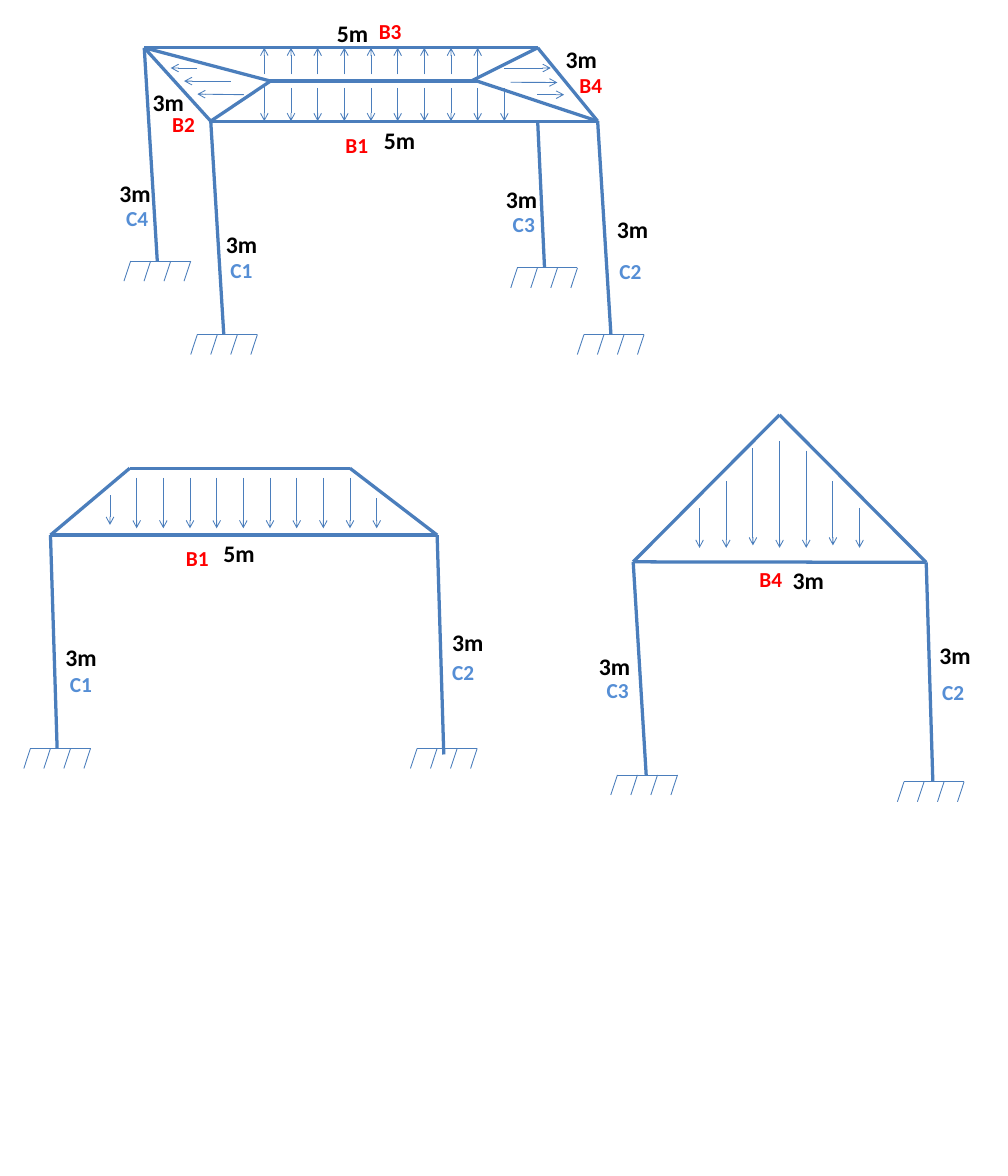
from dataclasses import dataclass

import pptx
import pptx.dml.color
import pptx.enum.shapes
import pptx.oxml
import pptx.oxml.ns
import pptx.presentation
import pptx.shapes.shapetree
import pptx.slide
import pptx.util

Pt = pptx.util.Pt
RGB = pptx.dml.color.RGBColor
Shapes = pptx.shapes.shapetree.SlideShapes
Point = tuple[float, float]

STEEL = RGB(0x4B, 0x7E, 0xBC)
BLACK = RGB(0x00, 0x00, 0x00)
RED = RGB(0xFF, 0x00, 0x00)
BLUE = RGB(0x55, 0x8E, 0xD5)

FONT = "Calibri"
THICK, THIN = 2.75, 0.75
GAP = 22.5  # between load arrows
TEETH, PITCH, LEAN, DROP = 4, 16.9, 5.6, 16.9  # support hatching


@dataclass
class Kind:
    """Look of one kind of label."""
    size: float
    color: RGB
    width: float
    height: float


SPAN = Kind(20, BLACK, 41, 31.5)
BEAM = Kind(18, RED, 33.8, 29)
POST = Kind(18, BLUE, 33.1, 29)


@dataclass
class Label:
    text: str
    kind: Kind
    left: float
    top: float


@dataclass
class Load:
    """Row of upright arrows at equal gaps."""
    left: float
    tails: list[float]
    tips: list[float]


@dataclass
class Frame:
    bars: list[tuple[Point, Point]]
    feet: list[Point]
    loads: list[Load]
    side: list[tuple[Point, Point]]
    labels: list[Label]


def draw_line(shapes: Shapes, start: Point, end: Point, width: float, head: bool = False) -> None:
    line = shapes.add_connector(pptx.enum.shapes.MSO_CONNECTOR.STRAIGHT,
                                *(Pt(n) for n in start + end))
    line.line.color.rgb = STEEL
    line.line.width = Pt(width)
    props = line._element.spPr
    if head:
        tail = pptx.oxml.ns.qn("a:tailEnd")
        props.find(pptx.oxml.ns.qn("a:ln")).append(props.makeelement(tail, {"type": "arrow"}))
    props.append(props.makeelement(pptx.oxml.ns.qn("a:effectLst"), {}))


def draw_foot(shapes: Shapes, left: float, top: float) -> None:
    draw_line(shapes, (left, top), (left + (TEETH - 1) * PITCH, top), THIN)
    for i in range(TEETH):
        x = left + i * PITCH
        draw_line(shapes, (x, top), (x - LEAN, top + DROP), THIN)


def draw_load(shapes: Shapes, load: Load) -> None:
    for i, (tail, tip) in enumerate(zip(load.tails, load.tips)):
        x = load.left + i * GAP
        draw_line(shapes, (x, tail), (x, tip), THIN, True)


def draw_label(shapes: Shapes, label: Label) -> None:
    kind = label.kind
    box = shapes.add_textbox(Pt(label.left), Pt(label.top), Pt(kind.width), Pt(kind.height))
    box.text_frame.word_wrap = False
    run = box.text_frame.paragraphs[0].add_run()
    run.text = label.text
    run.font.name = FONT
    run.font.size = Pt(kind.size)
    run.font.bold = True
    run.font.color.rgb = kind.color


def draw_frame(shapes: Shapes, frame: Frame) -> None:
    for start, end in frame.bars:
        draw_line(shapes, start, end, THICK)
    for left, top in frame.feet:
        draw_foot(shapes, left, top)
    for load in frame.loads:
        draw_load(shapes, load)
    for start, end in frame.side:
        draw_line(shapes, start, end, THIN, True)
    for label in frame.labels:
        draw_label(shapes, label)


# Whole frame: corners of the slab and ends of its ridge
BACK_L, BACK_R = (121.7, 40.3), (453.6, 40.3)
FRONT_L, FRONT_R = (177.8, 102.2), (504.2, 102.2)
RIDGE_L, RIDGE_R = (228.2, 68.4), (402.5, 68.4)

WHOLE = Frame(
    bars=[(BACK_L, FRONT_L), (BACK_L, BACK_R), (FRONT_L, FRONT_R), (BACK_R, FRONT_R),
          (BACK_L, (132.7, 220.3)), (FRONT_L, (188.8, 282.2)),
          (FRONT_R, (515.4, 282.2)), ((453.6, 102.2), (459.4, 226)),
          (RIDGE_L, RIDGE_R), (BACK_L, RIDGE_L), (FRONT_L, RIDGE_L),
          (BACK_R, (397.4, 68.4)), (FRONT_R, RIDGE_R)],
    feet=[(166.5, 282.2), (492.7, 282.2), (110.2, 220.3), (436.5, 226)],
    loads=[Load(223, [71.3] + [74.2] * 9, [102.2] * 10),
           Load(223, [62.8] * 8 + [68.4], [40.3] * 9)],
    side=[((425.3, 57.4), (464.6, 57.4)), ((430.8, 69.4), (470.2, 69.6)),
          ((453.4, 79.9), (475.9, 79.9)), ((205.7, 79.9), (166.5, 79.4)),
          ((166.5, 57.4), (144, 57.4)), ((194.6, 68.4), (155.3, 68.4))],
    labels=[Label("3m", SPAN, 470.2, 34.6), Label("5m", SPAN, 316.8, 102.2),
            Label("5m", SPAN, 277.2, 12.2), Label("3m", SPAN, 121.7, 70.6),
            Label("3m", SPAN, 513.4, 177.8), Label("3m", SPAN, 183.6, 190.1),
            Label("3m", SPAN, 93.6, 147.6), Label("3m", SPAN, 419.8, 152.6),
            Label("C1", POST, 187.2, 213.8), Label("C2", POST, 515.5, 214.6),
            Label("C3", POST, 425.5, 174.2), Label("C4", POST, 99.4, 169.2),
            Label("B1", BEAM, 284.4, 108), Label("B2", BEAM, 138.2, 90),
            Label("B3", BEAM, 312.5, 12.2), Label("B4", BEAM, 481.7, 57.6)])

# Long side: trapezoid load on B1
LONG_L, LONG_R = (42.6, 451.4), (368.8, 451.4)
TOP_L, TOP_R = (109.5, 395), (295.2, 395)

LONG = Frame(
    bars=[(LONG_L, LONG_R), (LONG_L, (48.2, 631.4)), (LONG_R, (374.4, 636.5)),
          (TOP_L, TOP_R), (LONG_L, TOP_L), (LONG_R, TOP_R)],
    feet=[(25.7, 631.4), (351.9, 631.4)],
    loads=[Load(92.8, [417.6] + [403.2] * 9 + [420.5], [442.8] + [445.7] * 10)],
    side=[],
    labels=[Label("5m", SPAN, 181.4, 451.4), Label("3m", SPAN, 374.4, 526.3),
            Label("3m", SPAN, 48.2, 538.6), Label("C1", POST, 51.8, 562.3),
            Label("C2", POST, 374.4, 552.2), Label("B1", BEAM, 149.8, 456.5)])

# Short side: triangle load on B4
SHORT_L, SHORT_R, PEAK = (534.2, 474), (781.4, 474.4), (657.6, 350)

SHORT = Frame(
    bars=[(SHORT_L, SHORT_R), (SHORT_L, (545.2, 654.3)), (SHORT_R, (787, 659.5)),
          (SHORT_L, PEAK), (SHORT_R, PEAK)],
    feet=[(520.9, 653.8), (762.7, 659.5)],
    loads=[Load(590.2, [428.4, 406.1, 378, 372.2, 380.2, 406.1, 428.4],
                [462.2, 462.2, 460.1, 462.2, 462.2, 460.1, 462.2])],
    side=[],
    labels=[Label("3m", SPAN, 498.2, 546.5), Label("C3", POST, 504.7, 568.1),
            Label("3m", SPAN, 785.5, 537.1), Label("C2", POST, 787.7, 569.5),
            Label("3m", SPAN, 661.7, 473.8), Label("B4", BEAM, 633.6, 473.8)])


def main() -> None:
    deck = pptx.Presentation()
    deck.slide_width, deck.slide_height = Pt(850.4), Pt(992.1)
    slide = deck.slides.add_slide(deck.slide_layouts[6])
    for frame in (WHOLE, LONG, SHORT):
        draw_frame(slide.shapes, frame)
    deck.save("out.pptx")


if __name__ == "__main__":
    main()
